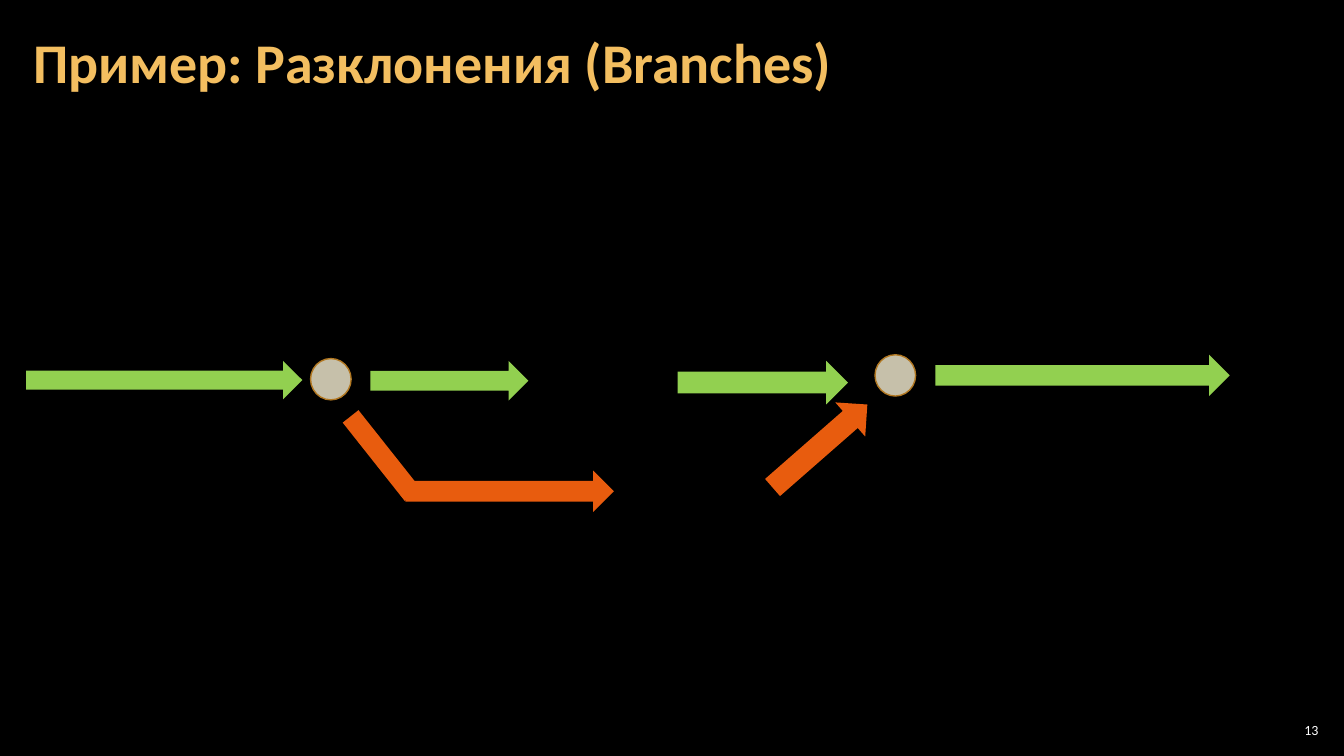
"""Build a slide that shows a branch leaving the main line and merging back."""
from pptx import Presentation
from pptx.dml.color import RGBColor
from pptx.enum import shapes, text
from pptx.util import Pt

THEME = {
    "background": "000000", "main": "92D050", "branch": "E85C0E",
    "commit": "C6C0AA", "commit_line": "B27822",
    "title": "F3BE60", "number": "FFFFFF",
    "font": "Calibri", "title_size": 40, "number_size": 10,
}
TITLE = "Пример: Разклонения (Branches)"
PAGE_NUMBER = "13"

ARROW = shapes.MSO_SHAPE.RIGHT_ARROW
BAR = shapes.MSO_SHAPE.RECTANGLE
CIRCLE = shapes.MSO_SHAPE.OVAL

COMMIT_SIZE = (29, 29.5)
PARTS = [
    (ARROW, "main", (18.7, 257.8, 197.3, 27.4), 0),
    (CIRCLE, "commit", (221.8, 256.1, *COMMIT_SIZE), 0),
    (ARROW, "main", (668.2, 253.4, 210.2, 29.5), 0),
    (ARROW, "branch", (540.7, 302.4, 90, 32.4), 318.8),
    (CIRCLE, "commit", (625, 253.4, *COMMIT_SIZE), 0),
    (ARROW, "main", (264.5, 257.8, 113, 28.4), 0),
    (ARROW, "branch", (289.5, 336.2, 149, 29.5), 0),
    (BAR, "branch", (236.9, 318.2, 71.3, 14.4), 51.6),
    (ARROW, "main", (484, 257.8, 121.7, 31), 0),
]


def color(name):
    return RGBColor.from_string(THEME[name])


def add_text(slide, content, box, *, style, margins, bold=False, align="LEFT", spacing=1.0):
    frame = slide.shapes.add_textbox(*map(Pt, box)).text_frame
    frame.word_wrap = True
    frame.vertical_anchor = text.MSO_ANCHOR.MIDDLE
    frame.margin_left = frame.margin_right = Pt(margins[0])
    frame.margin_top = frame.margin_bottom = Pt(margins[1])
    paragraph = frame.paragraphs[0]
    paragraph.alignment = getattr(text.PP_ALIGN, align)
    paragraph.line_spacing = spacing
    run = paragraph.add_run()
    run.text = content
    run.font.name = THEME["font"]
    run.font.size = Pt(THEME[f"{style}_size"])
    run.font.bold = bold
    run.font.color.rgb = color(style)


def add_part(slide, kind, role, box, rotation):
    shape = slide.shapes.add_shape(kind, *map(Pt, box))
    shape.rotation = rotation
    shape.shadow.inherit = False
    shape.fill.solid()
    shape.fill.fore_color.rgb = color(role)
    if role == "commit":
        shape.line.color.rgb = color("commit_line")
        shape.line.width = Pt(1)
    else:
        shape.line.fill.background()


def main():
    presentation = Presentation()
    presentation.slide_width, presentation.slide_height = Pt(960), Pt(540)
    slide = presentation.slides.add_slide(presentation.slide_layouts[6])
    slide.background.fill.solid()
    slide.background.fill.fore_color.rgb = color("background")
    add_text(slide, TITLE, (15.1, 2.9, 929.5, 87.1), style="title",
             margins=(8.5, 2.8), bold=True, spacing=0.9)
    for part in PARTS:
        add_part(slide, *part)
    add_text(slide, PAGE_NUMBER, (910.8, 514.1, 33.8, 15.1), style="number",
             margins=(2.8, 2.8), align="RIGHT")
    presentation.save("out.pptx")


if __name__ == "__main__":
    main()
